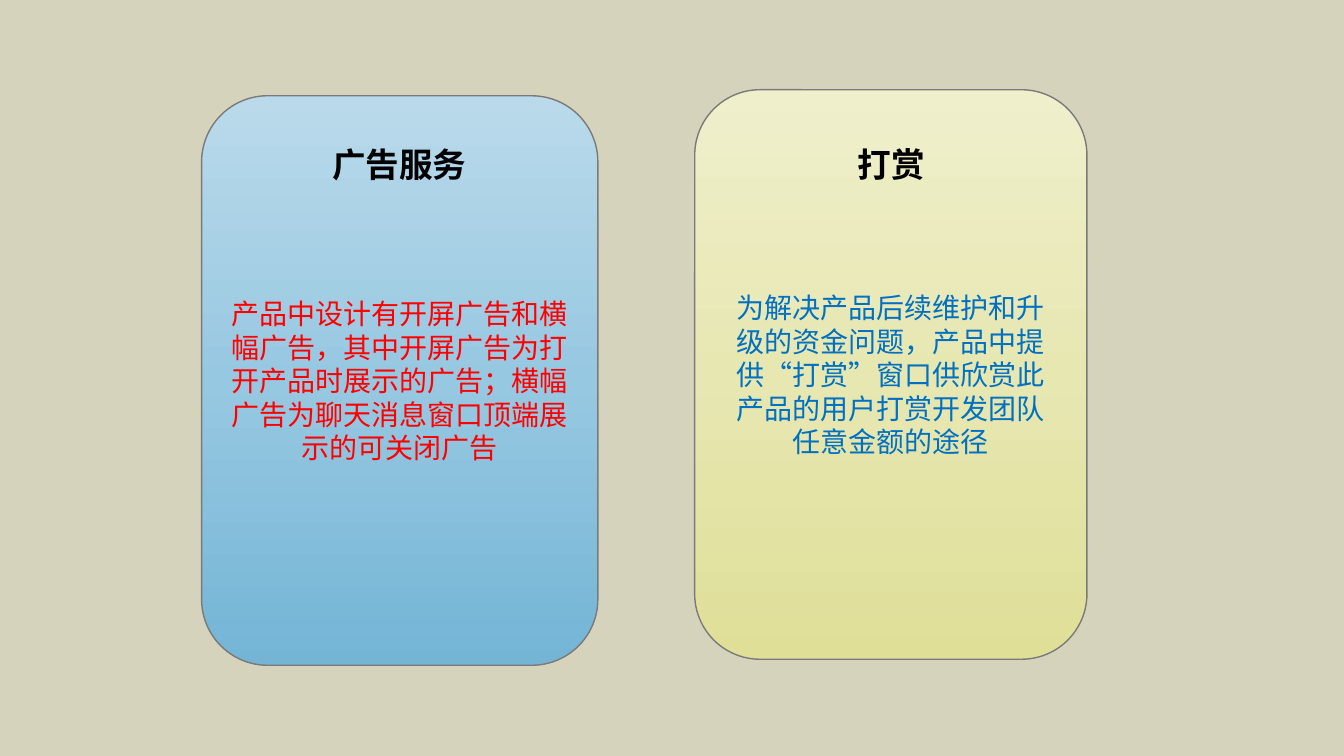
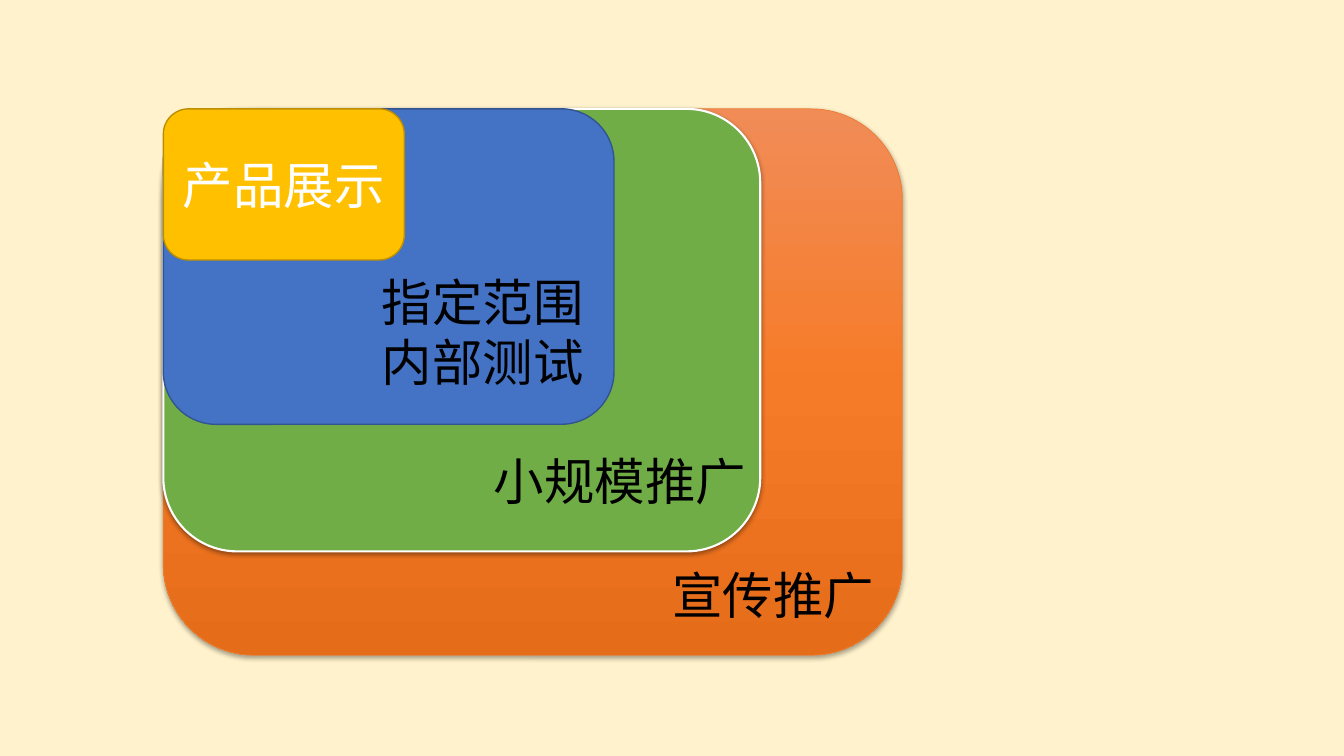
from copy import deepcopy

from lxml.etree import SubElement
from pptx import Presentation
from pptx.dml.color import RGBColor
from pptx.enum.shapes import MSO_SHAPE as Shape
from pptx.enum.text import MSO_ANCHOR as Anchor, MSO_AUTO_SIZE as AutoSize, PP_ALIGN as Align
from pptx.oxml.ns import qn
from pptx.util import Inches, Pt

CJK, LATIN = "Noto Sans CJK SC", "Calibri"
BLACK, WHITE = "000000", "FFFFFF"
CARD_LINE = "7A7A7A"


def rgb(value):
    return RGBColor.from_string(value)


class Deck:
    """Holds the shared style and the current slide."""

    def __init__(self):
        self.prs = Presentation()
        self.prs.slide_width, self.prs.slide_height = Inches(13.33), Inches(7.5)
        self.slide = None

    def new_slide(self, background):
        self.slide = self.prs.slides.add_slide(self.prs.slide_layouts[6])
        fill = self.slide.background.fill
        fill.solid()
        fill.fore_color.rgb = rgb(background)

    def set_text(self, frame, text, size, color, font, bold=False, align=Align.LEFT):
        frame.word_wrap = True
        paragraph = frame.paragraphs[0]
        paragraph.text = text
        paragraph.alignment = align
        style = paragraph.font
        style.size, style.name, style.bold = Pt(size), font, bold
        style.color.rgb = rgb(color)

    def panel(self, box, colors, line, line_width=1):
        """Rounded panel: one colour is a plain fill, several run downwards."""
        panel = self.slide.shapes.add_shape(Shape.ROUNDED_RECTANGLE, *map(Inches, box))
        panel.shadow.inherit = False
        panel.line.color.rgb = rgb(line)
        panel.line.width = Pt(line_width)
        if len(colors) == 1:
            panel.fill.solid()
            panel.fill.fore_color.rgb = rgb(colors[0])
        else:
            self.gradient(panel, colors)
        return panel

    def gradient(self, panel, colors):
        panel.fill.gradient()
        panel.fill.gradient_angle = 270
        stop_list = panel._element.spPr.find(".//" + qn("a:gsLst"))
        while len(stop_list) < len(colors):
            stop_list.append(deepcopy(stop_list[0]))
        for i, (stop, color) in enumerate(zip(panel.fill.gradient_stops, colors)):
            stop.position = i / (len(colors) - 1)
            stop.color.rgb = rgb(color)

    def drop_shadow(self, panel, opacity, blur, distance):
        effects = panel._element.spPr.find(qn("a:effectLst"))
        shadow = SubElement(effects, qn("a:outerShdw"), blurRad=str(Pt(blur)),
                            dist=str(Pt(distance)), dir="5400000", rotWithShape="0")
        black = SubElement(shadow, qn("a:srgbClr"), val=BLACK)
        SubElement(black, qn("a:alpha"), val=str(opacity * 1000))

    def panel_text(self, panel, text, size, color, font):
        panel.text_frame.vertical_anchor = Anchor.MIDDLE
        self.set_text(panel.text_frame, text, size, color, font, align=Align.CENTER)

    def label(self, box, text, size, font, **style):
        frame = self.slide.shapes.add_textbox(*map(Inches, box)).text_frame
        frame.auto_size = AutoSize.SHAPE_TO_FIT_TEXT
        self.set_text(frame, text, size, BLACK, font, **style)


deck = Deck()

# Slide 1: two sources of income
deck.new_slide("D6D3BD")
income_cards = [
    ((2, 0.95, 3.93, 5.65), ("BADAEB", "97C8E1", "74B5D6"), "FF0000",
     "产品中设计有开屏广告和横幅广告，其中开屏广告为打开产品时展示的广告；"
     "横幅广告为聊天消息窗口顶端展示的可关闭广告"),
    ((6.89, 0.89, 3.89, 5.65), ("EFEFCC", "E7E7B2", "DFDF98"), "0070C0",
     "为解决产品后续维护和升级的资金问题，产品中提供“打赏”窗口"
     "供欣赏此产品的用户打赏开发团队任意金额的途径"),
]
for box, colors, text_color, description in income_cards:
    card = deck.panel(box, colors, CARD_LINE)
    deck.panel_text(card, description, 20, text_color, CJK)
for left, heading in ((3.16, "广告服务"), (8.04, "打赏")):
    deck.label((left, 1.38, 1.6, 0.5), heading, 24, CJK, bold=True, align=Align.CENTER)

# Slide 2: promotion stages, nested from one corner
deck.new_slide("FFF2CC")
STAGE_LEFT, STAGE_TOP = 1.62, 1.08


def stage(width, height, colors, line, line_width=1):
    return deck.panel((STAGE_LEFT, STAGE_TOP, width, height), colors, line, line_width)


publicity = stage(7.33, 5.42, ("F18C57", "F67B28", "E56C19"), "ED7D31", 0.5)
deck.drop_shadow(publicity, 35, 3.1, 1.8)
small_scale = stage(5.92, 4.39, ("70AD47",), WHITE, 1.5)
deck.drop_shadow(small_scale, 38, 3.1, 1.6)
stage(4.47, 3.13, ("4472C4",), "325491")
showcase = stage(2.39, 1.5, ("FFC000",), "BD8E00")
deck.panel_text(showcase, "产品展示", 36, WHITE, LATIN)

# Stage names
for left, top, width, name in (
    (3.69, 2.64, 2.27, "指定范围内部测试"),
    (4.8, 4.42, 2.93, "小规模推广"),
    (6.57, 5.55, 2.23, "宣传推广"),
):
    deck.label((left, top, width, 1.31), name, 36, LATIN)

deck.prs.save("out.pptx")
